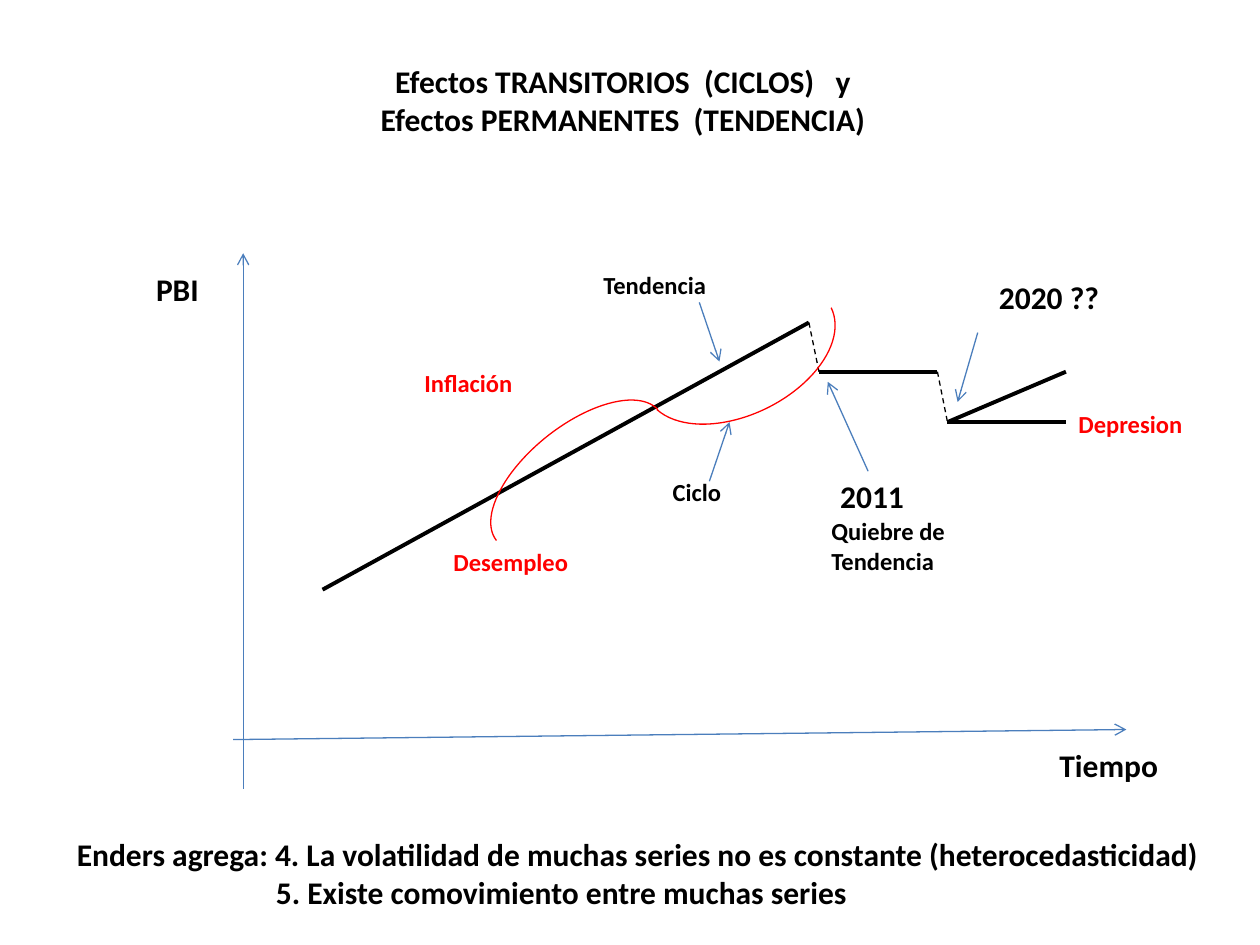
from lxml.etree import SubElement
from pptx import Presentation
from pptx.dml.color import RGBColor
from pptx.enum.dml import MSO_LINE
from pptx.enum.shapes import MSO_CONNECTOR as CONN, MSO_SHAPE as SHAPE
from pptx.enum.text import MSO_ANCHOR as ANCHOR, MSO_AUTO_SIZE as AUTO, PP_ALIGN as ALIGN
from pptx.oxml.ns import qn
from pptx.util import Emu, Pt

PX = 9144  # 100 px to the inch
COLORS = {"ink": "000000", "paper": "FFFFFF", "axis": "4B7EBC", "cycle": "FF0000"}


def px(*values):
    return [Emu(v * PX) for v in values]


def rgb(name):
    return RGBColor.from_string(COLORS[name])


class Deck:
    font = "Calibri"
    thin, thick = 0.75, 2.25

    def __init__(self, width, height):
        self.prs = Presentation()
        self.prs.slide_width, self.prs.slide_height = px(width, height)
        self.slide = None

    def add_slide(self):
        self.slide = self.prs.slides.add_slide(self.prs.slide_layouts[1])

    def set_text(self, sp, lines, size, color="ink", align=ALIGN.LEFT):
        tf = sp.text_frame
        frame = {"word_wrap": True, "auto_size": AUTO.NONE, "vertical_anchor": ANCHOR.TOP}
        for key, value in frame.items():
            setattr(tf, key, value)
        tf.text = "\n".join(lines)
        style = {"name": self.font, "size": Pt(size), "bold": True}
        for p in tf.paragraphs:
            p.alignment, p.line_spacing, p.space_before = align, 1.0, Pt(0)
            for r in p.runs:
                for key, value in style.items():
                    setattr(r.font, key, value)
                r.font.color.rgb = rgb(color)

    def place(self, sp, box):
        sp.left, sp.top, sp.width, sp.height = px(*box)

    def title(self, lines, box, size=18):
        sp = self.slide.shapes.title
        self.place(sp, box)
        sp.fill.solid()
        sp.fill.fore_color.rgb = rgb("paper")
        self.set_text(sp, lines, size, align=ALIGN.CENTER)

    def body(self, items, box, size=18):
        """Unbulleted list; items are (text, left indent in px)."""
        sp = self.slide.placeholders[1]
        self.place(sp, box)
        self.set_text(sp, [text for text, _ in items], size)
        for p, (_, indent) in zip(sp.text_frame.paragraphs, items):
            pPr = p._p.get_or_add_pPr()
            pPr.set("marL", str(indent * PX))
            pPr.set("indent", "0")
            SubElement(pPr, qn("a:buNone"))

    def label(self, text, box, size=14, color="ink"):
        sp = self.slide.shapes.add_textbox(*px(*box))
        self.set_text(sp, [text], size, color)

    def line(self, start, end, color="ink", width=thick, dash=False, arrow=False):
        sp = self.slide.shapes.add_connector(CONN.STRAIGHT, *px(*start, *end))
        sp.line.color.rgb = rgb(color)
        sp.line.width = Pt(width)
        if dash:
            sp.line.dash_style = MSO_LINE.DASH
        spPr = sp._element.spPr
        if arrow:
            SubElement(spPr.find(qn("a:ln")), qn("a:tailEnd"), type="arrow")
        SubElement(spPr, qn("a:effectLst"))

    def arrow(self, start, end):
        self.line(start, end, "axis", self.thin, arrow=True)

    def arc(self, box, rotation, end):
        sp = self.slide.shapes.add_shape(SHAPE.ARC, *px(*box))
        sp.shadow.inherit = False
        sp.rotation = rotation
        sp.adjustments[0], sp.adjustments[1] = 162, end
        sp.fill.background()
        sp.line.color.rgb = rgb("cycle")
        sp.line.width = Pt(self.thin)


def main():
    deck = Deck(1000, 750)
    deck.add_slide()

    # Title and closing list
    deck.title(["Efectos TRANSITORIOS  (CICLOS)   y",
                "Efectos PERMANENTES  (TENDENCIA)"], (35, 44, 919, 71))
    deck.body([("Enders agrega: 4. La volatilidad de muchas series no es constante "
                "(heterocedasticidad)", 0),
               ("5. Existe comovimiento entre muchas series", 158)], (51, 658, 929, 71))

    # Axes
    deck.arrow((185, 587), (894, 579))
    deck.arrow((193, 626), (193, 201))

    # Trend with its breaks
    peak, step, step_end, trough = (642, 256), (650, 295), (744, 295), (752, 335)
    for start, end in [((256, 468), peak), (step, step_end),
                       (trough, (846, 295)), (trough, (846, 335))]:
        deck.line(start, end)
    for start, end in [(peak, step), (step_end, trough)]:
        deck.line(start, end, width=deck.thin, dash=True)

    # Cycle around the trend
    deck.arc((419, 295, 79, 165), 231.4, 53.49)
    deck.arc((538, 199, 98, 162), 63.8, 49.05)

    # Pointers from labels to curves
    for start, end in [((555, 240), (571, 287)), ((563, 382), (579, 335)),
                       ((689, 374), (657, 303)), ((776, 264), (760, 319))]:
        deck.arrow(start, end)

    # Large labels
    for text, box in [("Tiempo", (831, 587, 110, 40)), ("PBI", (114, 209, 63, 40)),
                      ("2020 ??", (783, 216, 110, 40)), ("2011", (657, 374, 87, 40))]:
        deck.label(text, box, 18)

    # Small labels
    for text, box, color in [("Ciclo", (524, 374, 134, 34), "ink"),
                             ("Tendencia", (469, 209, 134, 34), "ink"),
                             ("Quiebre de Tendencia", (650, 405, 165, 57), "ink"),
                             ("Inflación", (327, 287, 102, 34), "cycle"),
                             ("Desempleo", (350, 429, 118, 34), "cycle"),
                             ("Depresion", (846, 320, 118, 34), "cycle")]:
        deck.label(text, box, color=color)

    deck.prs.save("out.pptx")


if __name__ == "__main__":
    main()
